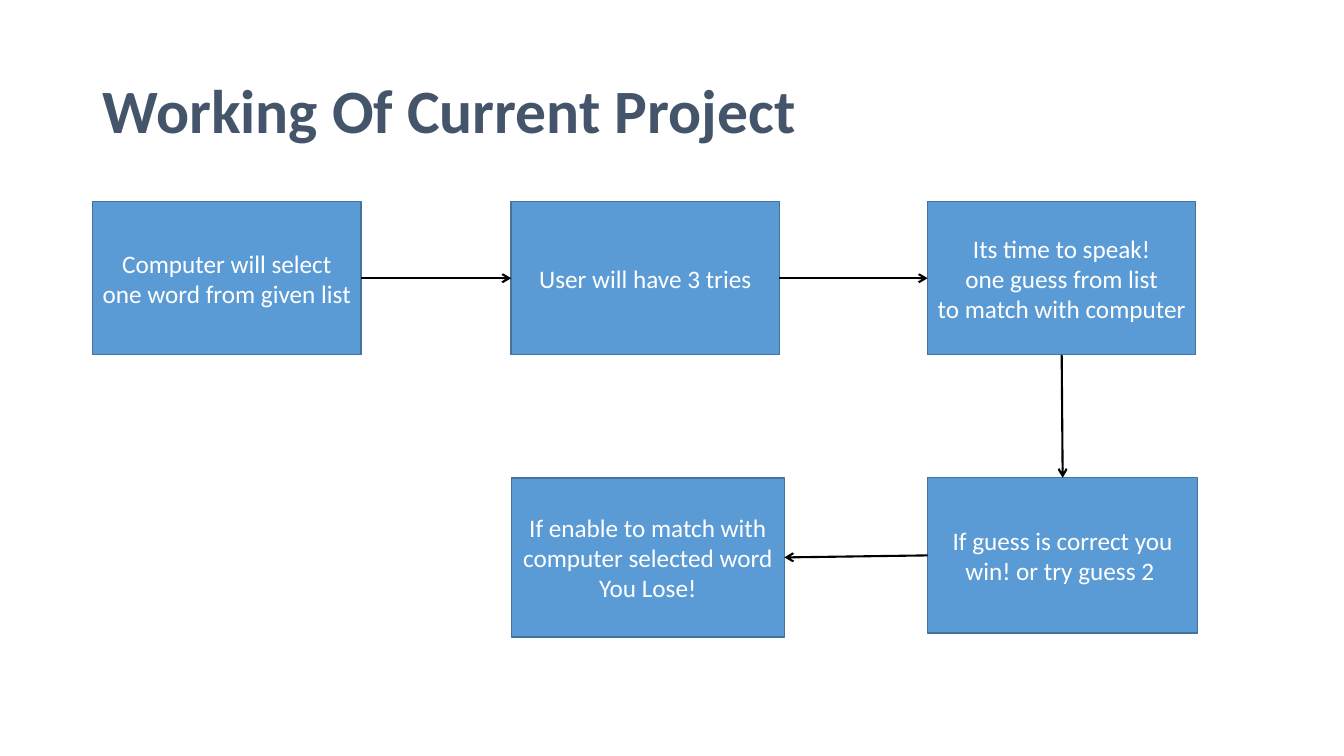
from lxml.etree import SubElement
from pptx import Presentation
from pptx.dml.color import RGBColor
from pptx.enum.shapes import MSO_CONNECTOR, MSO_SHAPE
from pptx.enum.text import MSO_ANCHOR, PP_ALIGN
from pptx.oxml.ns import qn
from pptx.util import Inches, Pt

COLORS = {"title": "44546A", "step": "5B9BD5", "border": "43739E",
          "text": "FFFFFF", "arrow": "000000"}
FONT = "Calibri"

# Connection sites of a rectangle
TOP, LEFT, BOTTOM, RIGHT = range(4)

# Flow grid, relative to the flow's box
COLUMNS = [0, 4.15, 8.28]
ROWS = [0, 2.74]

# Column, row, width, height, paragraphs
STEPS = [
    (0, 0, 2.66, 1.52, ["Computer will select one word from given list"]),
    (1, 0, 2.66, 1.52, ["User will have 3 tries"]),
    (2, 0, 2.66, 1.52, ["Its time to speak!", "one guess from list",
                        "to match with computer"]),
    (2, 1, 2.68, 1.54, ["If guess is correct you win! or try guess 2 "]),
    (1, 1, 2.71, 1.58, ["If enable to match with computer selected word ",
                        "You Lose!"]),
]

# Exit and entry side of the arrow between each step and the next
ARROW_SIDES = [(RIGHT, LEFT), (RIGHT, LEFT), (BOTTOM, TOP), (LEFT, RIGHT)]


def color(name):
    return RGBColor.from_string(COLORS[name])


def add_run(paragraph, text, size, color_name, bold=False):
    run = paragraph.add_run()
    run.text = text
    run.font.name = FONT
    run.font.size = Pt(size)
    run.font.bold = bold
    run.font.color.rgb = color(color_name)


def place_title(slide, left, top, width, height):
    title = slide.shapes.title
    title.left, title.top = Inches(left), Inches(top)
    title.width, title.height = Inches(width), Inches(height)
    frame = title.text_frame
    frame.vertical_anchor = MSO_ANCHOR.MIDDLE
    paragraph = frame.paragraphs[0]
    paragraph.alignment = PP_ALIGN.LEFT
    paragraph.line_spacing = 0.9
    add_run(paragraph, "Working Of Current Project", 44, "title", bold=True)


def add_step(slide, left, top, width, height, lines):
    step = slide.shapes.add_shape(MSO_SHAPE.RECTANGLE, Inches(left), Inches(top),
                                  Inches(width), Inches(height))
    step.shadow.inherit = False
    step.fill.solid()
    step.fill.fore_color.rgb = color("step")
    step.line.color.rgb = color("border")
    step.line.width = Pt(1)
    frame = step.text_frame
    frame.word_wrap = True
    frame.vertical_anchor = MSO_ANCHOR.MIDDLE
    for index, line in enumerate(lines):
        paragraph = frame.add_paragraph() if index else frame.paragraphs[0]
        paragraph.alignment = PP_ALIGN.CENTER
        add_run(paragraph, line, 18, "text")
    return step


def add_arrow(slide, source, exit_side, target, entry_side):
    arrow = slide.shapes.add_connector(MSO_CONNECTOR.STRAIGHT, 0, 0, 0, 0)
    arrow.begin_connect(source, exit_side)
    arrow.end_connect(target, entry_side)
    arrow.line.color.rgb = color("arrow")
    arrow.line.width = Pt(1.5)
    properties = arrow.line._get_or_add_ln()
    SubElement(properties, qn("a:tailEnd"), type="arrow")
    SubElement(properties.getparent(), qn("a:effectLst"))


def add_flow(slide, left, top):
    # Steps
    steps = [add_step(slide, left + COLUMNS[column], top + ROWS[row],
                      width, height, lines)
             for column, row, width, height, lines in STEPS]
    # Arrows from each step to the next
    for source, target, (exit_side, entry_side) in zip(steps, steps[1:], ARROW_SIDES):
        add_arrow(slide, source, exit_side, target, entry_side)


def main():
    presentation = Presentation()
    presentation.slide_width = Inches(13.33)
    presentation.slide_height = Inches(7.5)
    title_only = presentation.slide_layouts[5]
    slide = presentation.slides.add_slide(title_only)
    place_title(slide, 0.92, 0.4, 11.5, 1.45)
    add_flow(slide, 0.92, 2)
    presentation.save("out.pptx")


if __name__ == "__main__":
    main()
